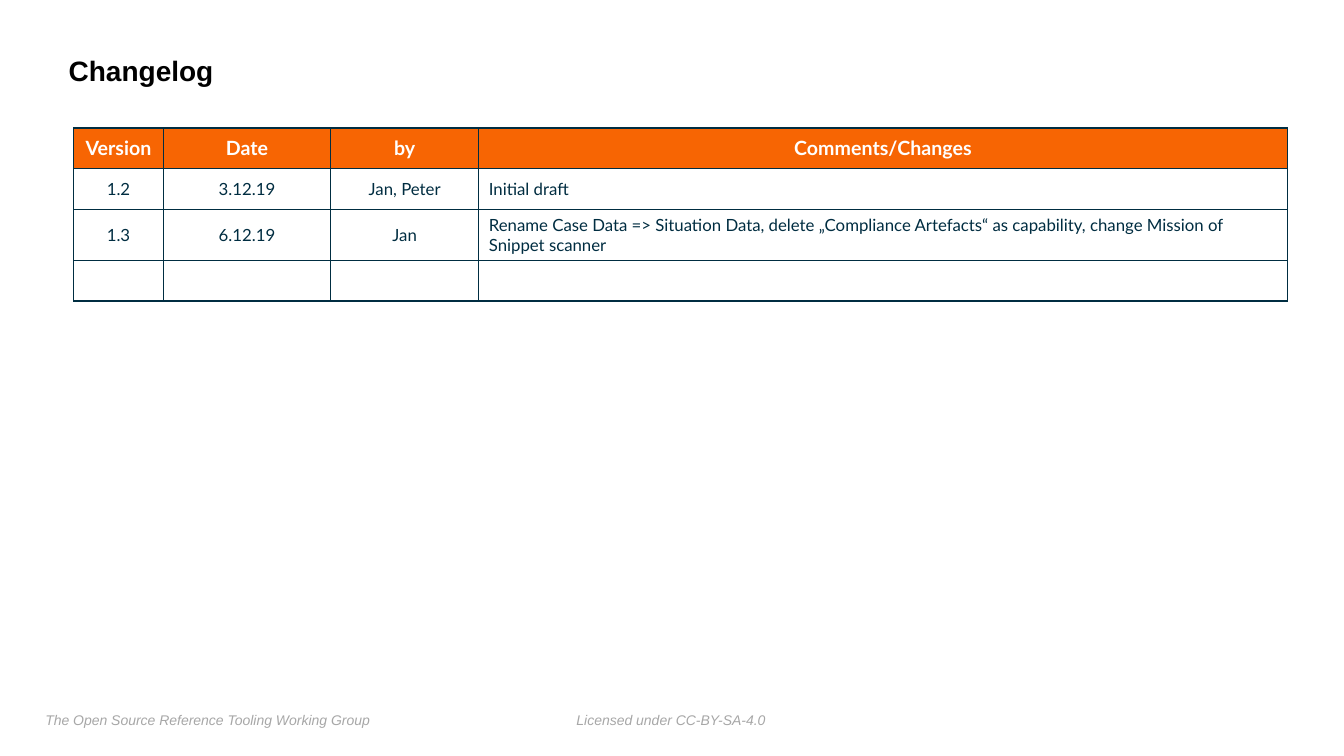
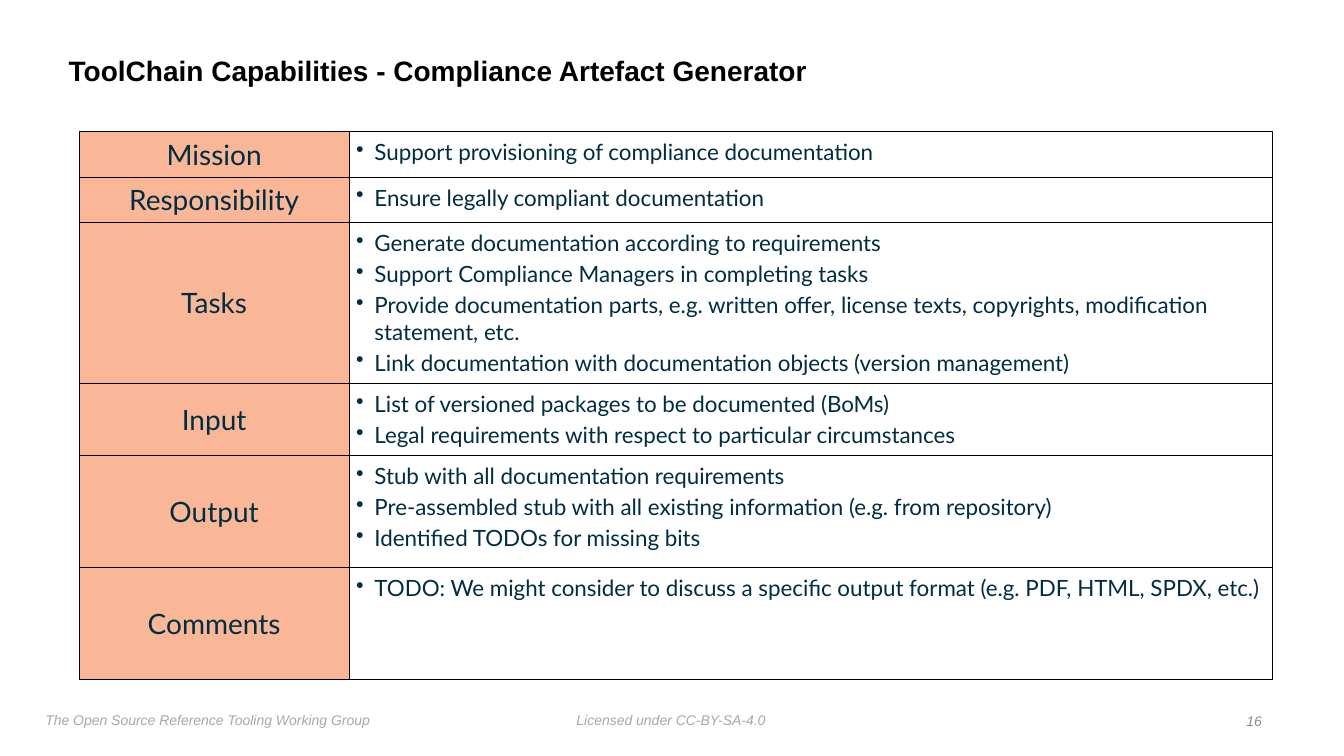
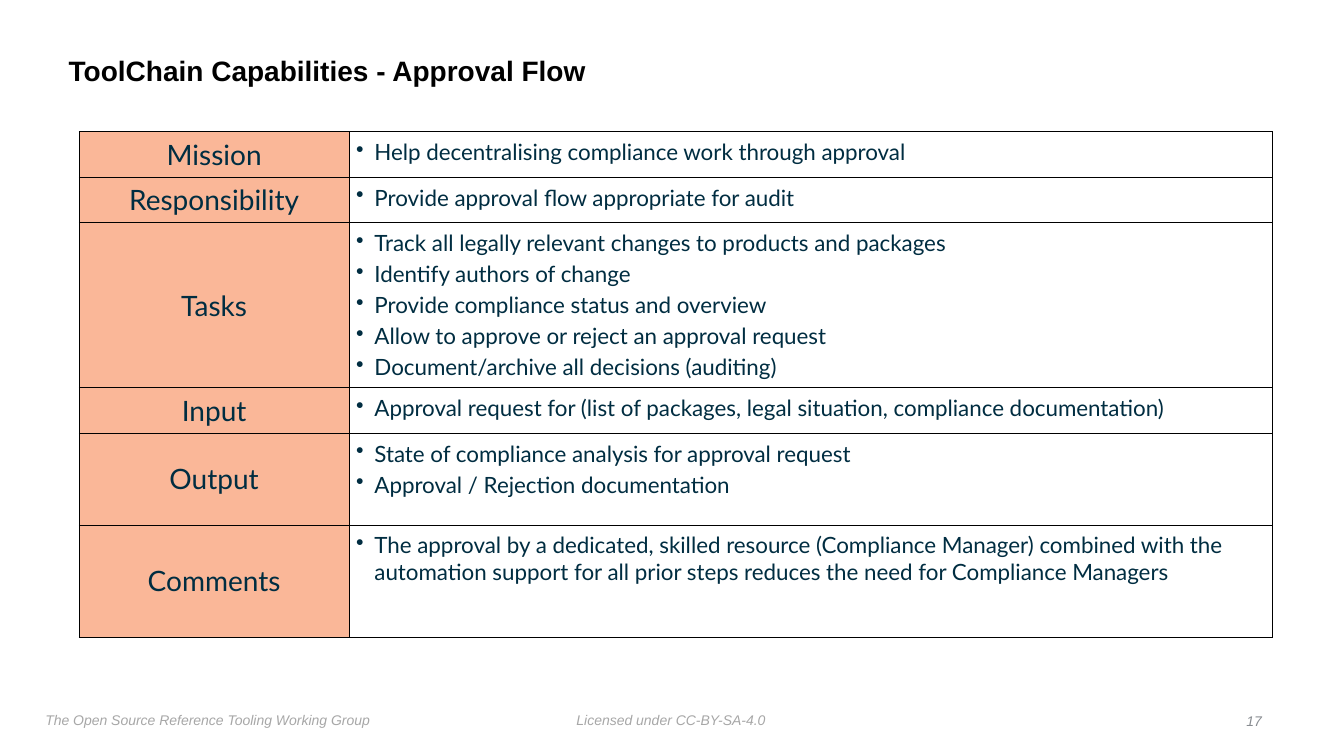
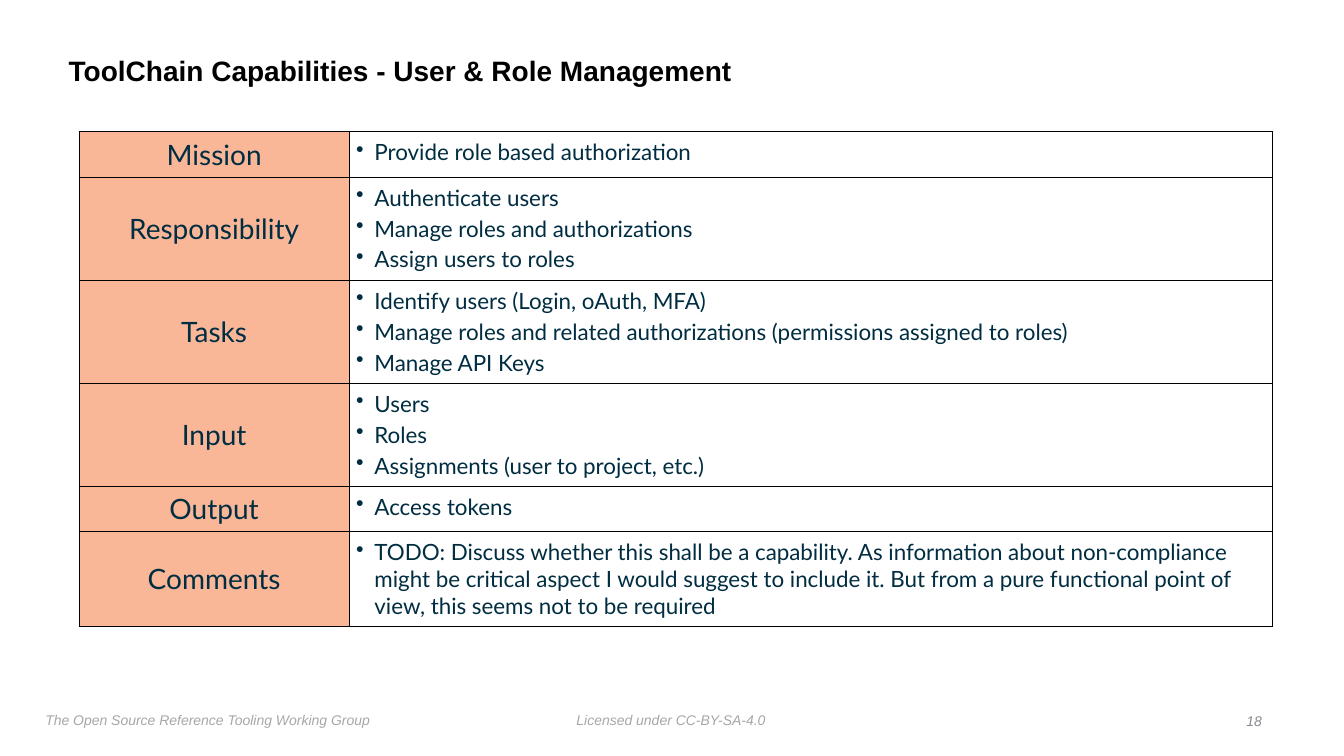
from pptx import Presentation
from pptx.dml.color import RGBColor
from pptx.enum import text
from pptx.oxml import parse_xml
from pptx.oxml.ns import nsdecls
from pptx.util import Pt

# Shared look
HUES = {"ink": "002D41", "head": "F76503", "label": "FAB798", "white": "FFFFFF",
        "black": "000000", "foot": "A7A7A7", "page": "888C91"}
LEFT, MID, RIGHT = text.PP_ALIGN.LEFT, text.PP_ALIGN.CENTER, text.PP_ALIGN.RIGHT
INDENT = 13
LABELS = ["Mission", "Responsibility", "Tasks", "Input", "Output", "Comments"]
ROW = 32.5

# Slide content
LOG = [
    ["Version", "Date", "by", "Comments/Changes"],
    ["1.2", "3.12.19", "Jan, Peter", "Initial draft"],
    ["1.3", "6.12.19", "Jan",
     "Rename Case Data => Situation Data, delete „Compliance Artefacts“ as capability, "
     "change Mission of Snippet scanner"],
    ["", "", "", ""],
]

# Each entry: title, page number, minimum heights of the last two rows, bullets by row
CARDS = [
    ("Compliance Artefact Generator", 16, (80, 80), [
        ["Support provisioning of compliance documentation"],
        ["Ensure legally compliant documentation"],
        ["Generate documentation according to requirements",
         "Support Compliance Managers in completing tasks",
         "Provide documentation parts, e.g. written offer, license texts, copyrights, "
         "modification statement, etc.",
         "Link documentation with documentation objects (version management)"],
        ["List of versioned packages to be documented (BoMs)",
         "Legal requirements with respect to particular circumstances"],
        ["Stub with all documentation requirements",
         "Pre-assembled stub with all existing information (e.g. from repository)",
         "Identified TODOs for missing bits"],
        ["TODO: We might consider to discuss a specific output format "
         "(e.g. PDF, HTML, SPDX, etc.)"],
    ]),
    ("Approval Flow", 17, (65.5, 80), [
        ["Help decentralising compliance work through approval"],
        ["Provide approval flow appropriate for audit"],
        ["Track all legally relevant changes to products and packages",
         "Identify authors of change",
         "Provide compliance status and overview",
         "Allow to approve or reject an approval request",
         "Document/archive all decisions (auditing)"],
        ["Approval request for (list of packages, legal situation, compliance documentation)"],
        ["State of compliance analysis for approval request",
         "Approval / Rejection documentation"],
        ["The approval by a dedicated, skilled resource (Compliance Manager) combined with "
         "the automation support for all prior steps reduces the need for Compliance Managers"],
    ]),
    ("User & Role Management", 18, (ROW, ROW), [
        ["Provide role based authorization"],
        ["Authenticate users", "Manage roles and authorizations", "Assign users to roles"],
        ["Identify users (Login, oAuth, MFA)",
         "Manage roles and related authorizations (permissions assigned to roles)",
         "Manage API Keys"],
        ["Users", "Roles", "Assignments (user to project, etc.)"],
        ["Access tokens"],
        ["TODO: Discuss whether this shall be a capability. As information about "
         "non-compliance might be critical aspect I would suggest to include it. But from "
         "a pure functional point of view, this seems not to be required"],
    ]),
]


def write(frame, lines, size=16, face="Lato", hue="ink", bold=False, slant=False,
          align=LEFT, bullet=False, gap=0, lead=None):
    """Fill a text frame, one paragraph per line."""
    for i, line in enumerate(lines):
        para = frame.paragraphs[0] if i == 0 else frame.add_paragraph()
        if bullet:
            props = para._p.get_or_add_pPr()
            props.set("marL", str(Pt(INDENT)))
            props.set("indent", str(-Pt(INDENT)))
            props.append(parse_xml(f'<a:buChar {nsdecls("a")} char="•"/>'))
        para.alignment = align
        if lead:
            para.line_spacing = lead
        if i and gap:
            para.space_before = Pt(gap)
        run = para.add_run()
        run.text = line
        font = run.font
        font.size, font.name, font.bold, font.italic = Pt(size), face, bold, slant
        font.color.rgb = RGBColor.from_string(HUES[hue])


def label(slide, box, line, wrap=False, anchor=text.MSO_ANCHOR.TOP, **form):
    """Add a text box; an unwrapped one fits its text."""
    frame = slide.shapes.add_textbox(*map(Pt, box)).text_frame
    frame.margin_left = frame.margin_right = Pt(3.6)
    frame.margin_top = frame.margin_bottom = Pt(3.6)
    frame.word_wrap = wrap
    frame.vertical_anchor = anchor
    if not wrap:
        frame.auto_size = text.MSO_AUTO_SIZE.SHAPE_TO_FIT_TEXT
    write(frame, [line], face="Arial", **form)


def page(deck, title, num=None):
    """Add a slide with the title and footers."""
    slide = deck.slides.add_slide(deck.slide_layouts[6])
    foot = dict(size=10, slant=True)
    label(slide, (408.2, 504.7, 143.3, 18), "Licensed under CC-BY-SA-4.0", hue="foot", **foot)
    label(slide, (28.8, 504.7, 240.5, 18), "The Open Source Reference Tooling Working Group",
          hue="foot", **foot)
    label(slide, (45.4, 28.1, 774, 46.8), title, wrap=True, anchor=text.MSO_ANCHOR.MIDDLE,
          size=20, hue="black", bold=True, lead=0.9)
    if num:
        label(slide, (885.6, 506.2, 19.4, 18), str(num), anchor=text.MSO_ANCHOR.MIDDLE,
              hue="page", align=RIGHT, **foot)
    return slide


def grid(slide, left, top, cols, rows):
    """Add a plain table with the given column widths and row heights."""
    table = slide.shapes.add_table(len(rows), len(cols), Pt(left), Pt(top),
                                   Pt(sum(cols)), Pt(sum(rows))).table
    table.first_row = table.horz_banding = False
    for col, wide in zip(table.columns, cols):
        col.width = Pt(wide)
    for row, high in zip(table.rows, rows):
        row.height = Pt(high)
    return table


def style(cell, edge, width, fill=None, inset=None, anchor=text.MSO_ANCHOR.MIDDLE):
    """Set the borders, fill, margins and anchor of a cell."""
    props = cell._tc.get_or_add_tcPr()
    for side in "LRTB":
        props.append(parse_xml(
            f'<a:ln{side} {nsdecls("a")} w="{Pt(width)}"><a:solidFill>'
            f'<a:srgbClr val="{HUES[edge]}"/></a:solidFill></a:ln{side}>'))
    if fill:
        cell.fill.solid()
        cell.fill.fore_color.rgb = RGBColor.from_string(HUES[fill])
    else:
        cell.fill.background()
    if inset is not None:
        cell.margin_left = cell.margin_right = Pt(inset)
        cell.margin_top = cell.margin_bottom = Pt(inset)
    cell.vertical_anchor = anchor


def log(deck):
    """Changelog table."""
    table = grid(page(deck, "Changelog"), 52.6, 91.4, (64.1, 119.5, 105.8, 577.6),
                 [29.2] * len(LOG))
    for r, row in enumerate(LOG):
        head = r == 0
        for c, word in enumerate(row):
            cell = table.cell(r, c)
            style(cell, "ink", 1, fill="head" if head else None)
            if word:
                write(cell.text_frame, [word], size=14 if head else 12, bold=head,
                      hue="white" if head else "ink",
                      align=MID if head or c < 3 else LEFT)


def card(deck, name, num, tail, rows):
    """Capability table: a label and its bullets on each row."""
    slide = page(deck, f"ToolChain Capabilities - {name}", num)
    table = grid(slide, 56.5, 94, (193, 659.5), [ROW] * 4 + list(tail))
    for r, (word, lines) in enumerate(zip(LABELS, rows)):
        key, body = table.cell(r, 0), table.cell(r, 1)
        style(key, "black", 0.5, fill="label", inset=0)
        write(key.text_frame, [word], size=20, align=MID)
        style(body, "black", 0.5, inset=5, anchor=text.MSO_ANCHOR.TOP)
        write(body.text_frame, lines, bullet=True, gap=3)


def main():
    deck = Presentation()
    deck.slide_width, deck.slide_height = Pt(960), Pt(540)
    log(deck)
    for item in CARDS:
        card(deck, *item)
    deck.save("out.pptx")


if __name__ == "__main__":
    main()
